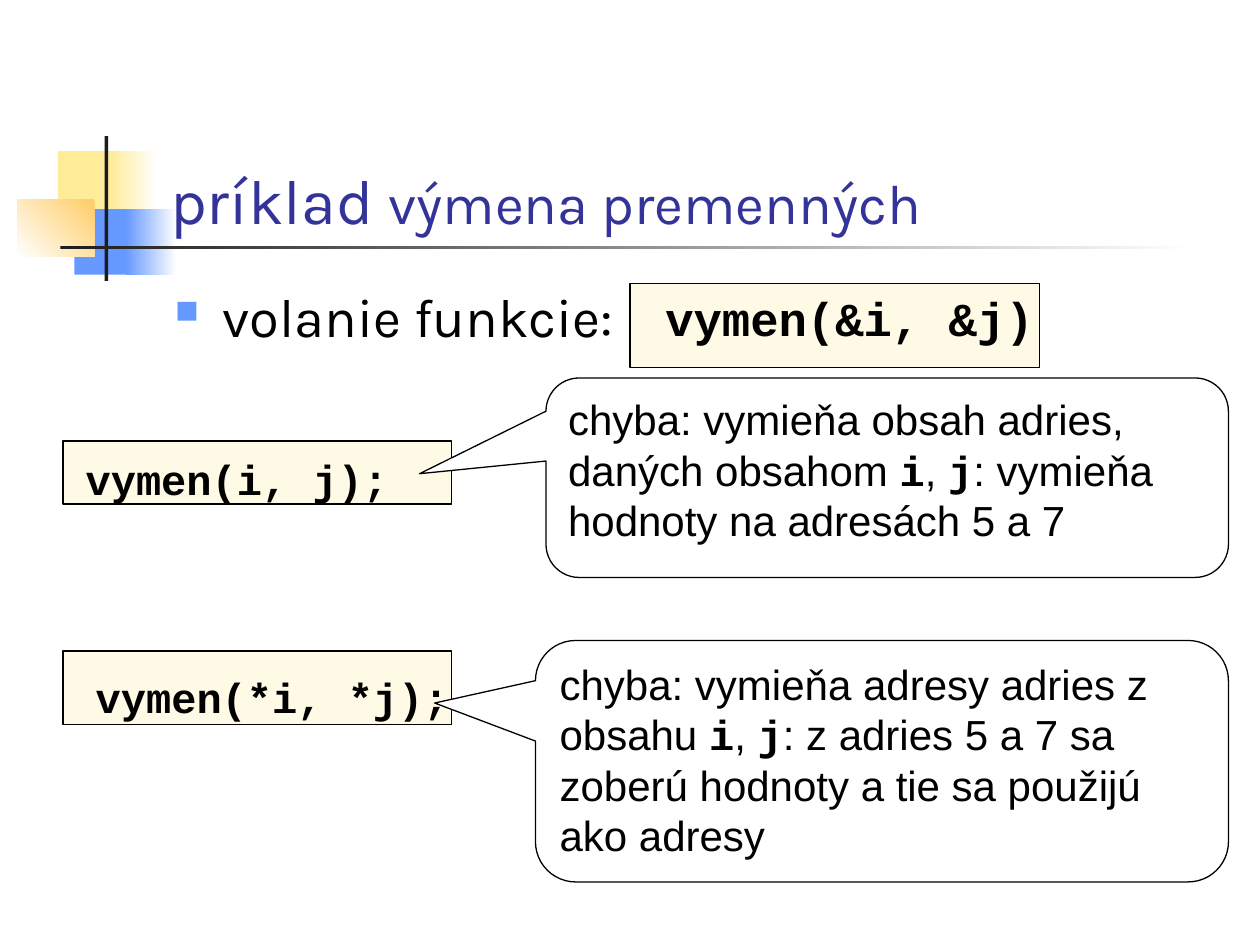
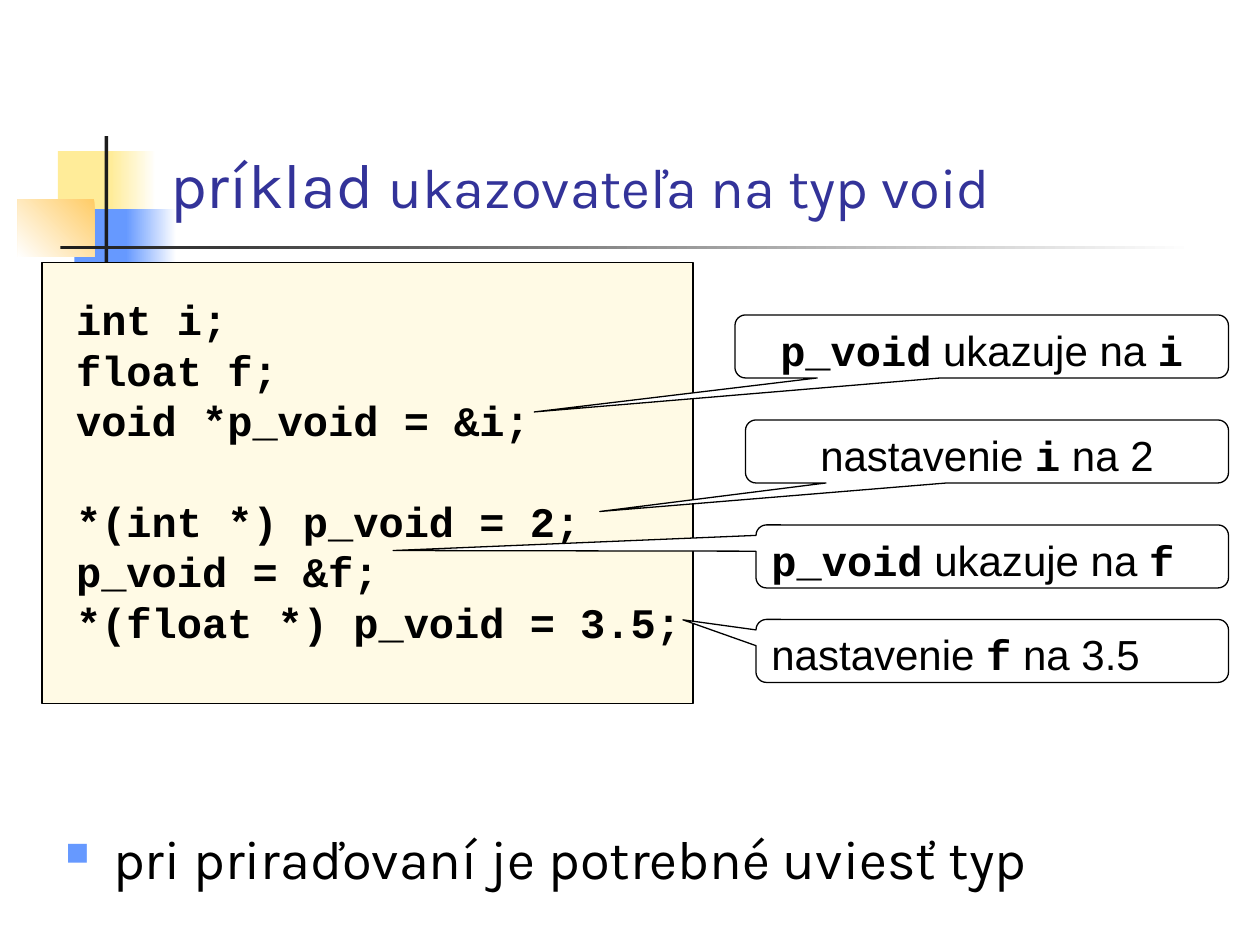
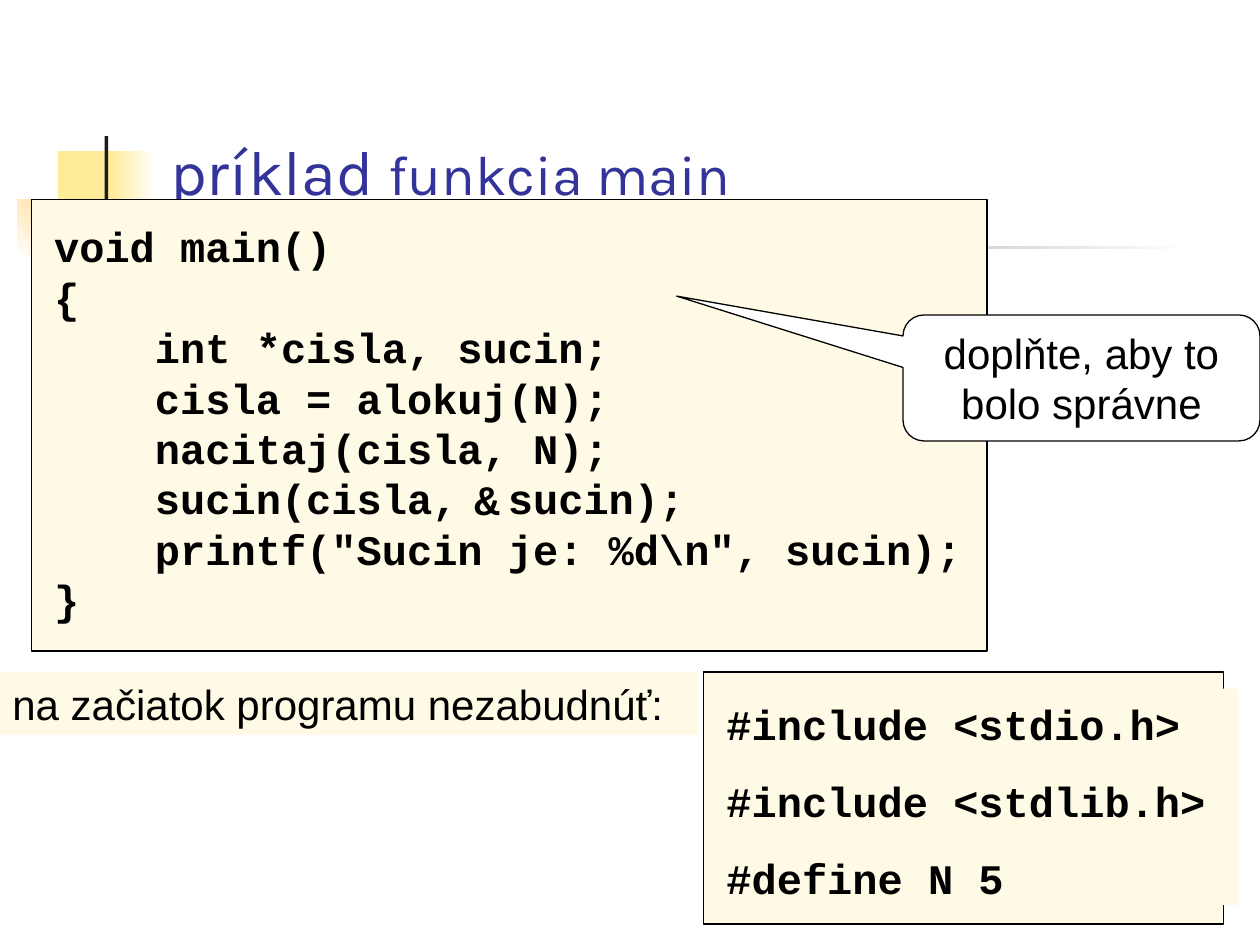
from lxml.etree import SubElement
from pptx import Presentation
from pptx.dml.color import RGBColor
from pptx.enum.shapes import MSO_SHAPE as Preset
from pptx.enum.text import MSO_ANCHOR as Anchor, MSO_AUTO_SIZE as AutoSize, PP_ALIGN as Align
from pptx.oxml.ns import qn
from pptx.util import Inches, Pt

COLOURS = {
    "paper": "FFFFFF", "text": "000000", "title": "333399", "code": "FFFAE5",
    "yellow": "FFEC99", "blue": "6699FF", "orange": "FFCC66", "bar": "1C1C1C",
}
PLAIN, MONO, HEADING = "Arial", "Courier New", "Karla"
COLS_PER_INCH = 12  # the slide is a grid of 120 columns by 90 rows
TEXT_SIZE = 24
LINE_SPACING = 1.2


def grid(*cells):
    return [Inches(cell / COLS_PER_INCH) for cell in cells]


def colour(name):
    return RGBColor.from_string(COLOURS[name])


def add_block(page, kind, place, fill=None, outlined=False):
    """Add a shape without shadow; fill is a colour name or None."""
    shape = page.shapes.add_shape(kind, *place)
    shape.shadow.inherit = False
    if fill:
        shape.fill.solid()
        shape.fill.fore_color.rgb = colour(fill)
    else:
        shape.fill.background()
    if outlined:
        shape.line.color.rgb = colour("text")
        shape.line.width = Pt(0.75)
    else:
        shape.line.fill.background()
    return shape


def set_frame(frame, left=0.1, top=0.05, right=0.1, bottom=0.05, anchor=Anchor.TOP):
    margins = {"left": left, "top": top, "right": right, "bottom": bottom}
    for side, inches in margins.items():
        setattr(frame, f"margin_{side}", Inches(inches))
    frame.word_wrap = True
    frame.auto_size = AutoSize.NONE
    frame.vertical_anchor = anchor


def add_span(para, text, name=PLAIN, size=TEXT_SIZE, ink="text", bold=False):
    span = para.add_run()
    span.text = text
    for key, value in {"name": name, "size": Pt(size), "bold": bold}.items():
        setattr(span.font, key, value)
    span.font.color.rgb = colour(ink)


def paragraphs(frame, lines):
    """Yield a paragraph for each line of text, using the first one present."""
    for index, line in enumerate(lines):
        yield (frame.add_paragraph() if index else frame.paragraphs[0]), line


def add_prose(shape, lines, align=Align.LEFT):
    """Write plain text in which backticks enclose code."""
    set_frame(shape.text_frame)
    for para, line in paragraphs(shape.text_frame, lines):
        para.alignment = align
        para.line_spacing = Pt(TEXT_SIZE * LINE_SPACING)
        for index, part in enumerate(line.split("`")):
            is_code = index % 2 == 1
            if part:
                add_span(para, part, MONO if is_code else PLAIN, bold=is_code)


def add_code(page, box, code, inset, size=TEXT_SIZE, fill="code", outlined=True, gap=0):
    """Add a code panel; an empty line in the code becomes space above the next."""
    panel = add_block(page, Preset.RECTANGLE, grid(*box), fill, outlined)
    left, top = inset
    set_frame(panel.text_frame, left, top, right=0, bottom=0)
    pitch = size * LINE_SPACING
    groups = [group.split("\n") for group in code.split("\n\n")]
    starts = {sum(map(len, groups[:index])) for index in range(1, len(groups))}
    lines = [line for group in groups for line in group]
    for index, (para, line) in enumerate(paragraphs(panel.text_frame, lines)):
        para.alignment = Align.LEFT
        para.line_spacing = Pt(pitch)
        if index:
            para.space_before = Pt(pitch if index in starts else gap)
        add_span(para, line, MONO, size, bold=True)


def add_callout(page, box, tip, *lines, align=Align.LEFT):
    """Add a speech bubble whose tail ends at tip, a point in inches."""
    bubble = add_block(page, Preset.ROUNDED_RECTANGULAR_CALLOUT, grid(*box), "paper", True)
    for axis in (0, 1):
        start, length = box[axis], box[axis + 2]
        bubble.adjustments[axis] = (tip[axis] * COLS_PER_INCH - start) / length - 0.5
    add_prose(bubble, lines, align)


def add_bullet(page, place, text):
    box = page.shapes.add_textbox(*map(Inches, place))
    set_frame(box.text_frame)
    para = box.text_frame.paragraphs[0]
    props = para._p.get_or_add_pPr()
    props.set("marL", str(Inches(0.38)))
    props.set("indent", str(-Inches(0.38)))
    ink = SubElement(props, qn("a:buClr"))
    SubElement(ink, qn("a:srgbClr"), val=COLOURS["blue"])
    SubElement(props, qn("a:buSzPct"), val="60000")
    SubElement(props, qn("a:buChar"), char="■")
    add_span(para, text, HEADING, 31)


def add_page(deck, topic, title_bottom):
    """Add a slide whose title stands on the given grid row."""
    page = deck.slides.add_slide(deck.slide_layouts[5])
    title = page.shapes.title
    height = 12
    title.left, title.top, title.width, title.height = grid(
        15, title_bottom - height, 102, height)
    set_frame(title.text_frame, anchor=Anchor.BOTTOM)
    para = title.text_frame.paragraphs[0]
    para.alignment = Align.LEFT
    add_span(para, "príklad ", HEADING, 36, "title")
    add_span(para, topic, HEADING, 32, "title")
    return page


def decorate_layout(page):
    """Build the squares and bars, then hand them to the layout of the page."""
    parts = [
        ((0.46, 1.2, 0.48, 0.52), "yellow", None),
        ((0.88, 1.2, 0.36, 0.52), "yellow", 0),
        ((0.59, 1.66, 0.46, 0.52), "blue", None),
        ((1, 1.66, 0.4, 0.52), "blue", 0),
        ((0.14, 1.58, 0.61, 0.46), "orange", 225),
        ((0.83, 1.08, 0.03, 1.15), "bar", None),
        ((0.48, 1.95, 9, 0.03), "bar", 0),
    ]
    for place, fill, fade_angle in parts:
        shape = add_block(page, Preset.RECTANGLE, map(Inches, place), fill)
        if fade_angle is not None:
            shape.fill.gradient()
            shape.fill.gradient_angle = fade_angle
            for stop, name in zip(shape.fill.gradient_stops, (fill, "paper")):
                stop.color.rgb = colour(name)
        page.slide_layout.shapes._spTree.append(shape._element)


def build_swap(deck):
    page = add_page(deck, "výmena premenných", 23.2)
    decorate_layout(page)
    add_code(page, (60, 27, 39, 8), "vymen(&i, &j)", (0.28, 0.05), size=27)
    add_bullet(page, (1.29, 2.2, 3.7, 0.7), "volanie funkcie:")
    add_code(page, (6, 42, 37, 6), "vymen(i, j);", (0.18, 0.1))
    add_code(page, (6, 62, 37, 7), "vymen(*i, *j);", (0.26, 0.16))
    add_callout(page, (52, 36, 65, 19), (3.33, 3.76),
                "chyba: vymieňa obsah adries, daných obsahom `i`, `j`: "
                "vymieňa hodnoty na adresách 5 a 7")
    add_callout(page, (51, 61, 66, 23), (3.45, 5.58),
                "chyba: vymieňa adresy adries z obsahu `i`, `j`: z adries 5 a 7 sa "
                "zoberú hodnoty a tie sa použijú ako adresy")


VOID_CODE = """int i;
float f;
void *p_void = &i;

*(int *) p_void = 2;
p_void = &f;
*(float *) p_void = 3.5;"""


def build_void_pointer(deck):
    page = add_page(deck, "ukazovateľa na typ void", 21.7)
    add_bullet(page, (0.42, 6.5, 8.17, 0.58), "pri priraďovaní je potrebné uviesť typ")
    add_code(page, (4, 25, 62, 42), VOID_CODE, (0.27, 0.25))
    right, height = 117, 6
    notes = [
        (71, 40, (4.76, 4.06), "nastavenie `i` na 2", Align.CENTER),
        (70, 30, (4.24, 3.27), "`p_void` ukazuje na `i`", Align.CENTER),
        (72, 50, (3.12, 4.37), "`p_void` ukazuje na `f`", Align.LEFT),
        (72, 59, (5.42, 4.92), "nastavenie `f` na 3.5", Align.LEFT),
    ]
    for left, top, tip, text, align in notes:
        add_callout(page, (left, top, right - left, height), tip, text, align=align)


MAIN_CODE = r"""void main()
{
    int *cisla, sucin;
    cisla = alokuj(N);
    nacitaj(cisla, N);
    sucin(cisla,  sucin);
    printf("Sucin je: %d\n", sucin);
}"""

HEADER_CODE = """#include <stdio.h>
#include <stdlib.h>
#define N 5"""


def build_main_function(deck):
    page = add_page(deck, "funkcia main", 20.4)
    add_code(page, (3, 19, 91, 43), MAIN_CODE, (0.18, 0.17))
    add_code(page, (44, 44, 5, 6), "&", (0.1, 0.09), fill=None, outlined=False)
    add_block(page, Preset.RECTANGLE, grid(67, 64, 49.5, 24), "code", True)
    reminder = add_block(page, Preset.RECTANGLE, grid(0, 64, 66.4, 6), "code")
    add_prose(reminder, ["na začiatok programu nezabudnúť:"])
    add_code(page, (68, 65.6, 50, 20.6), HEADER_CODE, (0.1, 0.08), outlined=False, gap=15)
    add_callout(page, (86, 30, 34, 12), (5.37, 2.35),
                "doplňte, aby to", "bolo správne", align=Align.CENTER)


def main():
    deck = Presentation()
    deck.slide_width, deck.slide_height = Inches(10), Inches(7.5)
    for build in (build_swap, build_void_pointer, build_main_function):
        build(deck)
    deck.save("out.pptx")


if __name__ == "__main__":
    main()
